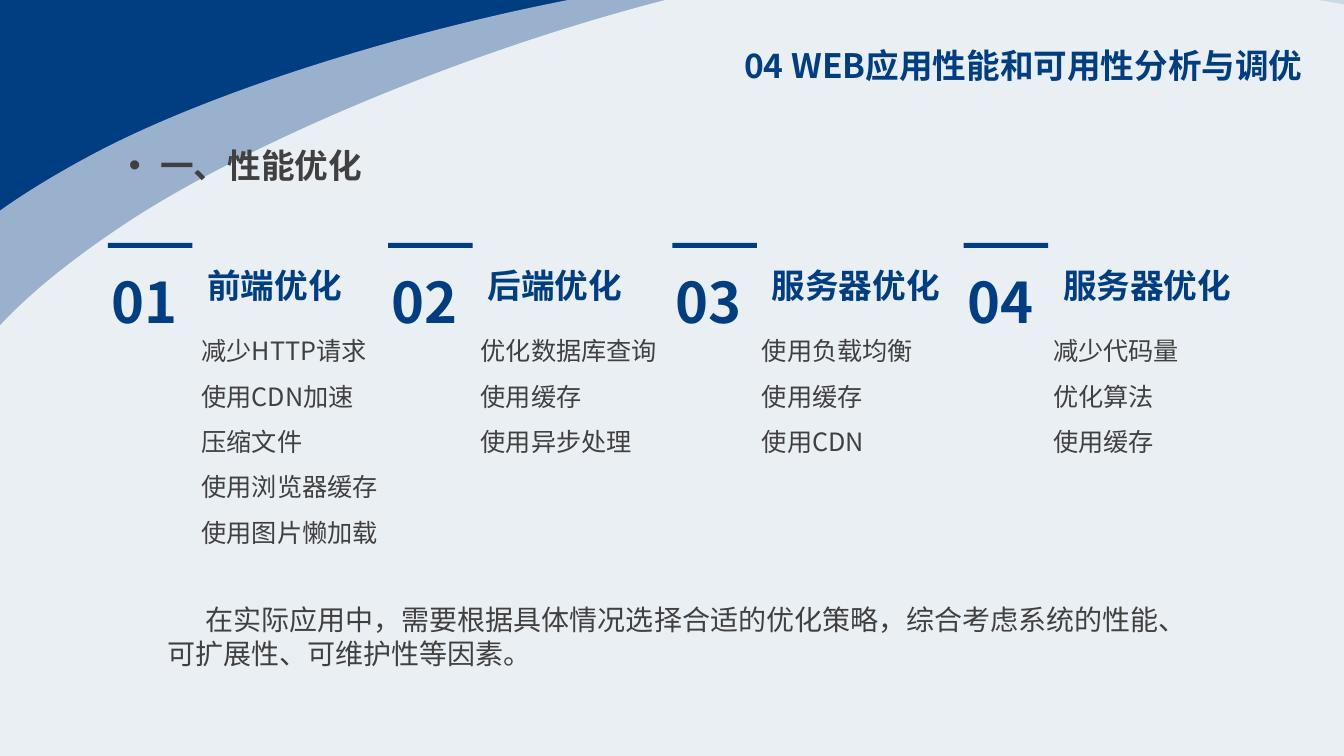
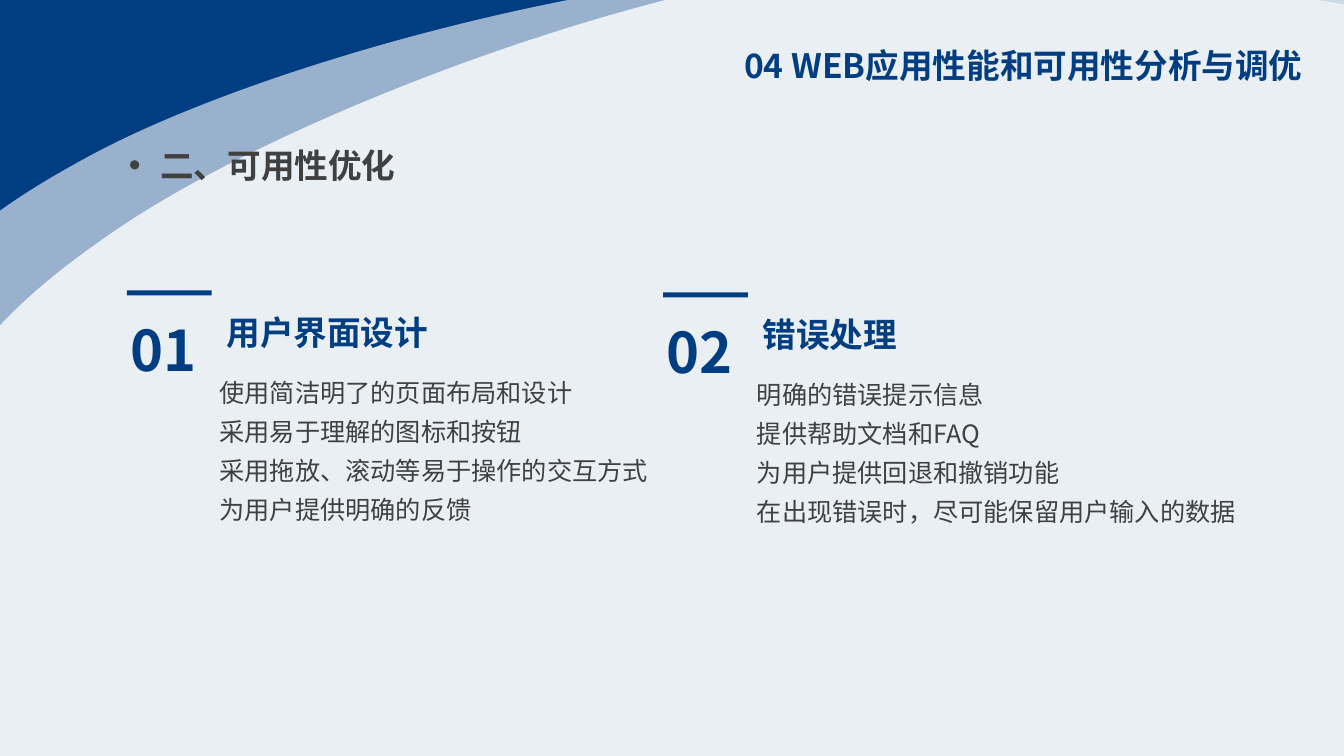
import pptx
import pptx.dml.color
import pptx.enum.shapes
import pptx.enum.text
import pptx.oxml.ns
import pptx.util
from lxml import etree

NAVY = pptx.dml.color.RGBColor(0x00, 0x3E, 0x81)
GRAY = pptx.dml.color.RGBColor(0x40, 0x40, 0x40)
WHITE = pptx.dml.color.RGBColor(0xFF, 0xFF, 0xFF)
FONT = "Noto Sans CJK SC"
COLUMNS, ROWS = 160, 90
CELL = pptx.util.Inches(1 / 12)

# The wave outline inside its frame: a start point, then cubic curves (two handles, end point).
WAVE_SIZE = (245.28, 119.16)
WAVE_START = (6.96, 50.76)
WAVE_CURVES = [
    ((10.92, 39.72), (15.84, 32.16), (34.68, 22.2)),
    ((53.4, 12.36), (90.84, 1.68), (120.72, 0.24)),
    ((150.72, -1.2), (195.48, 3.96), (214.2, 13.92)),
    ((233.04, 23.76), (254.4, 54), (241.32, 69.6)),
    ((228.12, 85.32), (159.12, 115.8), (120.72, 118.92)),
    ((82.32, 122.04), (29.4, 98.28), (10.68, 88.32)),
    ((-8.16, 78.48), (3, 61.8), WAVE_START),
]
# Left, top, rotation in degrees, opacity in percent.
WAVES = [(-23.16, -4.08, 0, 60), (-16.56, -4.68, 354.1, 80)]

TITLE = "04 WEB应用性能和可用性分析与调优"
# Left of the bar, left of the list, heading, items.
PERFORMANCE = [
    (12.84, 22.8, "前端优化", ["减少HTTP请求", "使用CDN加速", "压缩文件", "使用浏览器缓存", "使用图片懒加载"]),
    (46.2, 56.04, "后端优化", ["优化数据库查询", "使用缓存", "使用异步处理"]),
    (80.04, 89.52, "服务器优化", ["使用负载均衡", "使用缓存", "使用CDN"]),
    (114.72, 124.2, "服务器优化", ["减少代码量", "优化算法", "使用缓存"]),
]
# Left of the bar, left of the list, top, list width, heading, items.
USABILITY = [
    (15.12, 24.96, 34.56, 54, "用户界面设计", [
        "使用简洁明了的页面布局和设计", "采用易于理解的图标和按钮",
        "采用拖放、滚动等易于操作的交互方式", "为用户提供明确的反馈"]),
    (78.96, 88.92, 34.8, 64.4, "错误处理", [
        "明确的错误提示信息", "提供帮助文档和FAQ",
        "为用户提供回退和撤销功能", "在出现错误时，尽可能保留用户输入的数据"]),
]
NOTE = "在实际应用中，需要根据具体情况选择合适的优化策略，综合考虑系统的性能、可扩展性、可维护性等因素。"


def cells(count):
    return pptx.util.Emu(round(count * CELL))


def add_node(parent, tag, **attributes):
    return etree.SubElement(parent, pptx.oxml.ns.qn(tag), **attributes)


class Designer:
    """Holds the style and the current slide; lengths are grid cells."""

    def __init__(self):
        self.deck = pptx.Presentation()
        self.deck.slide_width = cells(COLUMNS)
        self.deck.slide_height = cells(ROWS)
        self.page = None

    def new_page(self, section):
        self.page = self.deck.slides.add_slide(self.deck.slide_layouts[6])
        self.bar(0, 0, COLUMNS, ROWS)
        for placement in WAVES:
            self.wave(*placement)
        title = self.text((83.52, 3.36, 72.72, 9.48), [TITLE], 24, NAVY, True, 0.9)
        title.vertical_anchor = pptx.enum.text.MSO_ANCHOR.MIDDLE
        title.paragraphs[0].alignment = pptx.enum.text.PP_ALIGN.RIGHT
        heading = self.text((14.16, 15.24, 77.88, 6.84), [section], 24, GRAY, True, 1.3)
        self.bullet(heading.paragraphs[0])

    def paint(self, shape, color):
        shape.shadow.inherit = False
        shape.fill.solid()
        shape.fill.fore_color.rgb = color
        shape.line.fill.background()

    def bar(self, *area):
        shape = self.page.shapes.add_shape(
            pptx.enum.shapes.MSO_SHAPE.RECTANGLE, *map(cells, area))
        self.paint(shape, NAVY)

    def wave(self, left, top, rotation, opacity):
        """Freeform whose frame is drawn first, then given its curved outline."""
        width, height = map(cells, WAVE_SIZE)
        builder = self.page.shapes.build_freeform(0, 0)
        builder.add_line_segments([(width, 0), (width, height), (0, height)], close=True)
        shape = builder.convert_to_shape(cells(left), cells(top))
        shape.rotation = rotation
        self.paint(shape, WHITE)
        color = next(shape._element.iter(pptx.oxml.ns.qn("a:srgbClr")))
        add_node(color, "a:alpha", val=str(opacity * 1000))
        outline = next(shape._element.iter(pptx.oxml.ns.qn("a:path")))
        for node in list(outline):
            outline.remove(node)
        steps = [("a:moveTo", [WAVE_START])]
        steps += [("a:cubicBezTo", curve) for curve in WAVE_CURVES]
        for tag, points in steps:
            step = add_node(outline, tag)
            for x, y in points:
                add_node(step, "a:pt", x=str(cells(x)), y=str(cells(y)))
        add_node(outline, "a:close")

    def text(self, area, lines, size, color, bold=False, spacing=1.0):
        box = self.page.shapes.add_textbox(*map(cells, area))
        frame = box.text_frame
        frame.word_wrap = True
        for index, line in enumerate(lines):
            para = frame.add_paragraph() if index else frame.paragraphs[0]
            para.line_spacing = spacing
            span = para.add_run()
            span.text = line
            span.font.name = FONT
            span.font.size = pptx.util.Pt(size)
            span.font.bold = bold
            span.font.color.rgb = color
            latin = span.font._rPr.find(pptx.oxml.ns.qn("a:latin"))
            latin.addnext(etree.Element(pptx.oxml.ns.qn("a:ea"), typeface=FONT))
        return frame

    def indent(self, para, left, first):
        props = para._p.get_or_add_pPr()
        props.set("marL", str(cells(left)))
        props.set("indent", str(cells(first)))
        return props

    def bullet(self, para):
        props = self.indent(para, 3.75, -3.75)
        add_node(props, "a:buFont", typeface="Arial")
        add_node(props, "a:buChar", char="•")

    def topic(self, left, list_left, top, width, number, heading, items, spacing):
        """Numbered topic: bar, list, heading and number."""
        self.bar(left, top, 10.08, 0.6)
        list_height = 3.64 * spacing * len(items) + 0.6
        self.text((list_left, top + 8.64, width, list_height), items, 18, GRAY,
                  spacing=spacing)
        heading_width = 4 * len(heading) + 2.6
        self.text((left + 10.66, top + 0.6, heading_width, 6.84), [heading], 24, NAVY, True, 1.3)
        self.text((left - 0.75, top, 10.68, 10.68), [f"{number:02}"], 40, NAVY, True, 1.3)

    def note(self, words):
        frame = self.text((18.72, 71.16, 125.64, 9.24), [words], 20, GRAY)
        self.indent(frame.paragraphs[0], 0, 4.55)


def main():
    designer = Designer()
    designer.new_page("一、性能优化")
    for number, (left, list_left, heading, items) in enumerate(PERFORMANCE, 1):
        designer.topic(left, list_left, 28.92, 28.56, number, heading, items, 1.5)
    designer.note(NOTE)
    designer.new_page("二、可用性优化")
    for number, (left, list_left, top, width, heading, items) in enumerate(USABILITY, 1):
        designer.topic(left, list_left, top, width, number, heading, items, 1.3)
    designer.deck.save("out.pptx")


if __name__ == "__main__":
    main()
